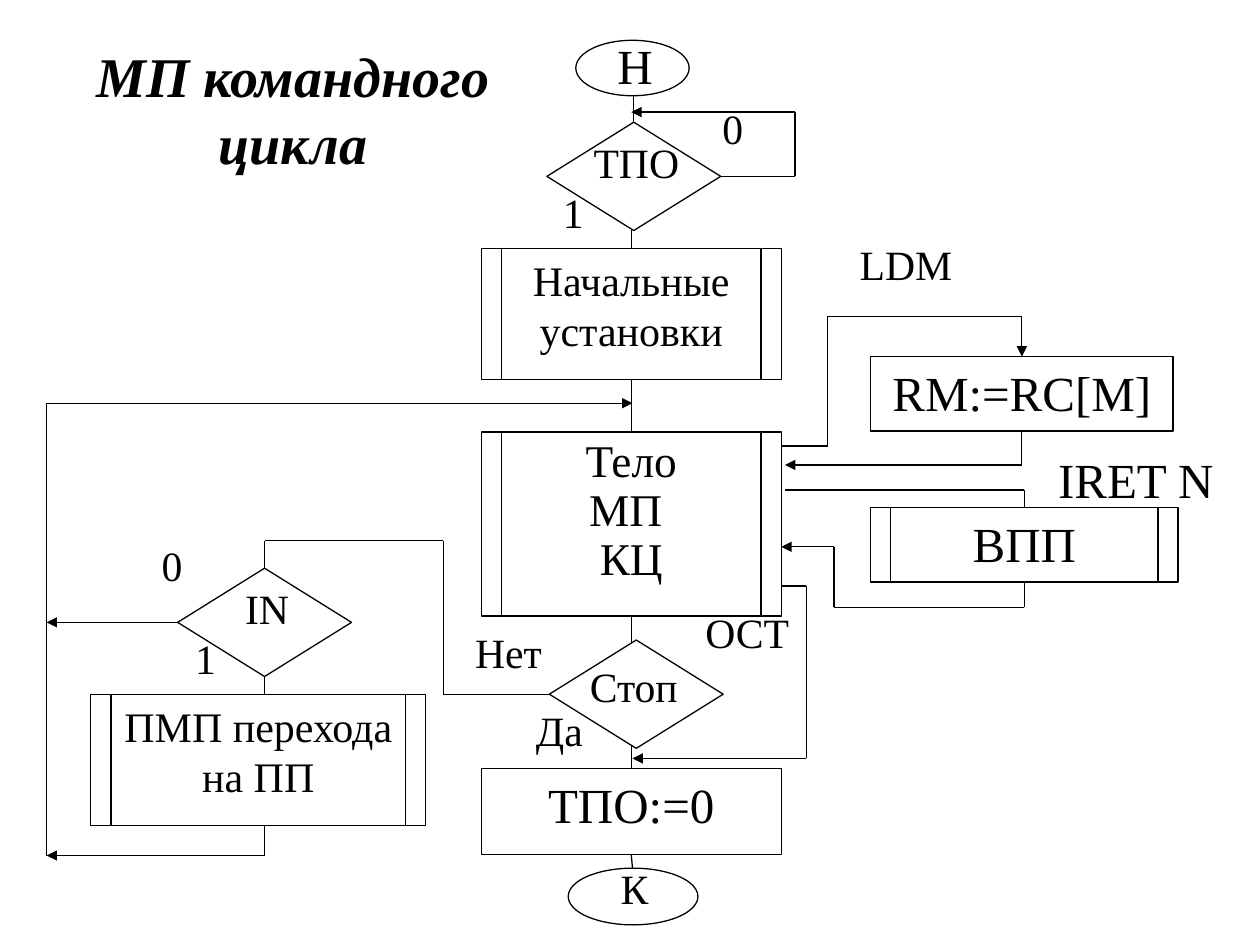
import lxml.etree
import pptx
import pptx.dml.color
import pptx.enum.shapes
import pptx.enum.text
import pptx.oxml.ns
import pptx.util

Inches, Pt = pptx.util.Inches, pptx.util.Pt
SHAPES = pptx.enum.shapes.MSO_SHAPE
ALIGN = pptx.enum.text.PP_ALIGN
ANCHOR = pptx.enum.text.MSO_ANCHOR

THEME = {
    "ink": pptx.dml.color.RGBColor(0, 0, 0),
    "line": Pt(0.75),
    "frame": {
        "word_wrap": True, "vertical_anchor": ANCHOR.TOP,
        "margin_left": Inches(0.1), "margin_right": Inches(0.1),
        "margin_top": Inches(0.05), "margin_bottom": Inches(0.05),
    },
    "font": {"name": "Times New Roman", "bold": False, "italic": False},
    # Type size and line spacing of each kind of text
    "title": (Pt(32), 1.0),
    "large": (Pt(28), 1.0),
    "body": (Pt(25.9), 0.9),
    "step": (Pt(24), 1.0),
    "label": (Pt(23.8), 0.9),
}

deck = pptx.Presentation()
deck.slide_width, deck.slide_height = Inches(10), Inches(7.5)
slide = deck.slides.add_slide(deck.slide_layouts[6])


def write(holder, text, style, align=ALIGN.CENTER):
    size, spacing = THEME[style]
    frame = holder.text_frame
    for name, value in THEME["frame"].items():
        setattr(frame, name, value)
    frame.text = text
    for paragraph in frame.paragraphs:
        paragraph.alignment = align
        paragraph.line_spacing = spacing
        for run in paragraph.runs:
            for name, value in THEME["font"].items():
                setattr(run.font, name, value)
            run.font.size = size
            run.font.color.rgb = THEME["ink"]


def draw_line(start, end, arrow=False):
    """Each end is a point in inches or a (block name, side) pair."""
    joins = [isinstance(place[0], str) for place in (start, end)]
    points = [(0, 0) if joined else place
              for place, joined in zip((start, end), joins)]
    line = slide.shapes.add_connector(
        pptx.enum.shapes.MSO_CONNECTOR.STRAIGHT,
        *(Inches(value) for point in points for value in point))
    if joins[0]:
        line.begin_connect(blocks[start[0]], start[1])
    if joins[1]:
        line.end_connect(blocks[end[0]], end[1])
    line.line.color.rgb = THEME["ink"]
    line.line.width = THEME["line"]
    if arrow:
        lxml.etree.SubElement(line.line._get_or_add_ln(),
                              pptx.oxml.ns.qn("a:tailEnd"), type="triangle")
    lxml.etree.SubElement(line._element.spPr, pptx.oxml.ns.qn("a:effectLst"))


# Title
heading = slide.shapes.add_textbox(Inches(0.42), Inches(0.35), Inches(3.81), Inches(1.03))
write(heading, "МП командного цикла", "title")
heading.text_frame.vertical_anchor = ANCHOR.MIDDLE
for run in heading.text_frame.paragraphs[0].runs:
    run.font.bold = run.font.italic = True

# Blocks: outline, left, top, width, height, text, style
block_rows = {
    "start": (SHAPES.OVAL, 4.57, 0.32, 0.9, 0.44, "", "large"),
    "ready": (SHAPES.DIAMOND, 4.34, 0.97, 1.38, 0.86, "", "label"),
    "setup": (SHAPES.RECTANGLE, 3.82, 1.97, 2.38, 1.04, "Начальные установки", "step"),
    "body": (SHAPES.RECTANGLE, 3.82, 3.43, 2.38, 1.46, "Тело\nМП \vКЦ", "body"),
    "stop": (SHAPES.DIAMOND, 4.36, 5.08, 1.38, 0.86, "", "label"),
    "reset": (SHAPES.RECTANGLE, 3.82, 6.1, 2.38, 0.68, "ТПО:=0", "large"),
    "finish": (SHAPES.OVAL, 4.51, 6.89, 1.03, 0.45, "", "label"),
    "load": (SHAPES.RECTANGLE, 6.91, 2.83, 2.4, 0.59, "RM:=RC[M]", "large"),
    "return": (SHAPES.RECTANGLE, 6.91, 4.03, 2.44, 0.59, "ВПП", "large"),
    "interrupt": (SHAPES.DIAMOND, 1.41, 4.51, 1.38, 0.86, "", "label"),
    "jump": (SHAPES.RECTANGLE, 0.72, 5.51, 2.66, 1.04, "ПМП перехода на ПП", "step"),
}
blocks = {}
for key, (outline, *place, text, style) in block_rows.items():
    block = slide.shapes.add_shape(outline, *map(Inches, place))
    block.shadow.inherit = False
    block.fill.background()
    block.line.color.rgb = THEME["ink"]
    block.line.width = THEME["line"]
    if text:
        write(block, text, style)
    blocks[key] = block

# Inner side bars of the subroutine blocks
BAR_INSET = 0.16
for key in ("setup", "body", "return", "jump"):
    left, top, width, height = block_rows[key][1:5]
    for x in (left + BAR_INSET, left + width - BAR_INSET):
        draw_line((x, top), (x, top + height))

# Flow: points along each route, and whether it ends in an arrow
TOP, LEFT, BOTTOM, RIGHT = range(4)
routes = [
    # Main column
    ([(5.03, 0.76), ("ready", TOP)], False),
    ([(5.01, 1.82), ("setup", TOP)], False),
    ([("setup", BOTTOM), ("body", TOP)], False),
    ([("body", BOTTOM), (5.01, 5.1)], False),
    ([(5.01, 5.92), ("reset", TOP)], False),
    ([("reset", BOTTOM), (5.02, 6.89)], False),
    # Wait loop
    ([("ready", RIGHT), (6.31, 1.4), (6.31, 0.89), (5.01, 0.89)], True),
    # LDM branch
    ([(6.2, 3.54), (6.57, 3.54), (6.57, 2.51), (8.11, 2.51), ("load", TOP)], True),
    ([("load", BOTTOM), (8.11, 3.69), (6.23, 3.69)], True),
    # IRET branch
    ([(6.23, 3.89), (8.13, 3.89), ("return", TOP)], False),
    ([("return", BOTTOM), (8.13, 4.82), (6.62, 4.82), (6.62, 4.34), (6.2, 4.34)], True),
    # Halt branch
    ([(6.2, 4.65), (6.4, 4.65), (6.4, 6.02), (5.02, 6.02)], True),
    # Interrupt branch and the way back to the body
    ([("stop", LEFT), (3.52, 5.51), (3.52, 4.29), (2.1, 4.29), ("interrupt", TOP)], False),
    ([("interrupt", LEFT), (0.37, 4.94)], True),
    ([("interrupt", BOTTOM), (2.1, 5.51)], False),
    ([(2.1, 6.55), (2.1, 6.79), (0.37, 6.79)], True),
    ([(0.37, 6.79), (0.37, 3.2), (5.02, 3.2)], True),
]
for points, arrow in routes:
    for step, (start, end) in enumerate(zip(points, points[1:]), start=2):
        draw_line(start, end, arrow and step == len(points))

# Labels: left, top, width, height, text, style, alignment
labels = [
    (4.22, 0.23, 1.64, 0.6, "Н", "large", ALIGN.CENTER),
    (4.38, 1.08, 1.34, 0.5, "ТПО", "label", ALIGN.CENTER),
    (5.56, 0.81, 0.51, 0.5, "0", "label", ALIGN.CENTER),
    (4.37, 1.48, 0.36, 0.5, "1", "label", ALIGN.CENTER),
    (6.56, 1.89, 1.26, 0.5, "LDM", "label", ALIGN.CENTER),
    (8.3, 3.52, 1.68, 0.57, "IRET N", "large", ALIGN.LEFT),
    (5.3, 4.81, 1.26, 0.5, "ОСТ", "label", ALIGN.CENTER),
    (4.36, 5.24, 1.34, 0.5, "Стоп", "label", ALIGN.CENTER),
    (3.62, 4.97, 0.83, 0.5, "Нет", "label", ALIGN.CENTER),
    (4.12, 5.59, 0.64, 0.5, "Да", "label", ALIGN.CENTER),
    (1.45, 4.62, 1.34, 0.5, "IN", "label", ALIGN.CENTER),
    (1.11, 4.28, 0.51, 0.5, "0", "label", ALIGN.CENTER),
    (1.45, 5.02, 0.36, 0.5, "1", "label", ALIGN.CENTER),
    (4.35, 6.84, 1.37, 0.5, "К", "label", ALIGN.CENTER),
]
for *place, text, style, align in labels:
    write(slide.shapes.add_textbox(*map(Inches, place)), text, style, align)

deck.save("out.pptx")
